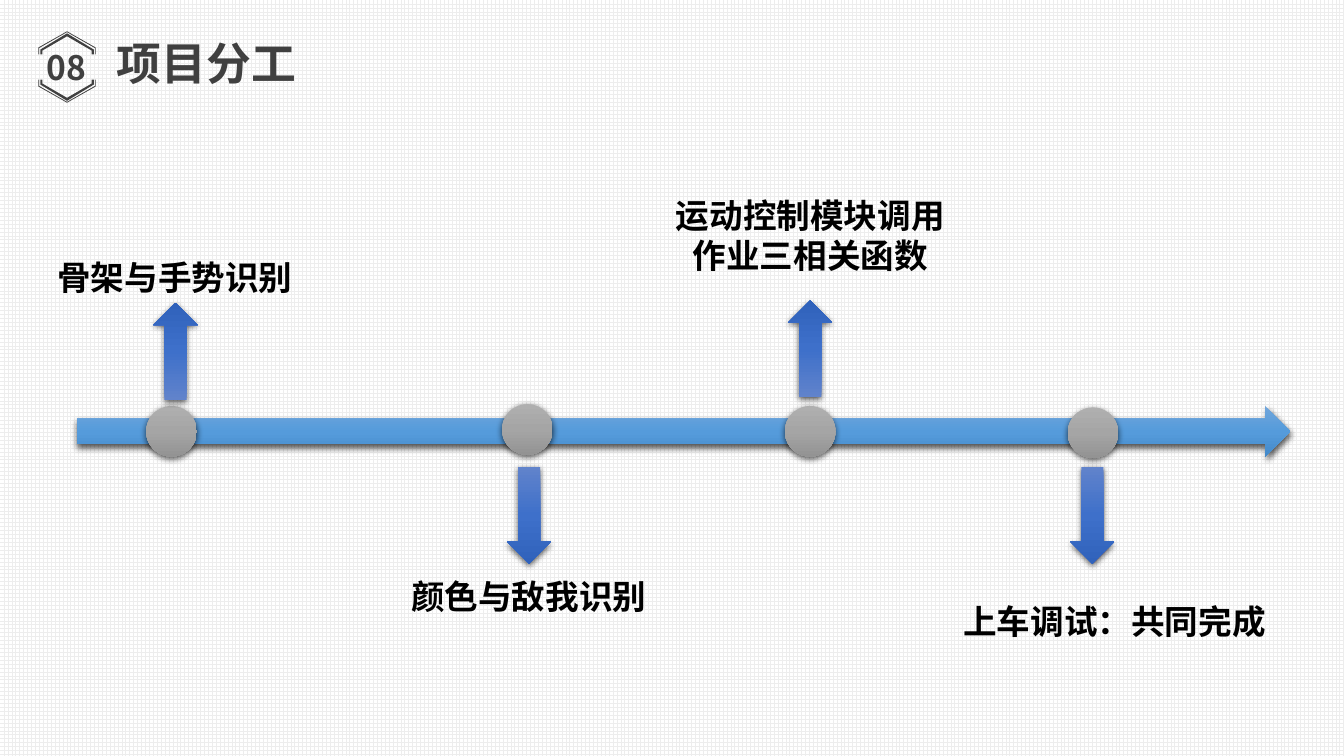
from copy import deepcopy
from dataclasses import dataclass

from lxml import etree
from pptx import Presentation
from pptx.dml.color import RGBColor
from pptx.enum.dml import MSO_PATTERN
from pptx.enum.shapes import MSO_SHAPE
from pptx.enum.text import MSO_ANCHOR, MSO_AUTO_SIZE, PP_ALIGN
from pptx.oxml.ns import qn
from pptx.util import Pt

GRID = MSO_PATTERN.LARGE_GRID
BAR = MSO_SHAPE.RIGHT_ARROW
DOT = MSO_SHAPE.OVAL
DOWN = MSO_SHAPE.DOWN_ARROW
TOP = MSO_ANCHOR.TOP
MIDDLE = MSO_ANCHOR.MIDDLE
CENTER = PP_ALIGN.CENTER
GROW = MSO_AUTO_SIZE.SHAPE_TO_FIT_TEXT
NONE = MSO_AUTO_SIZE.NONE

CJK = "Noto Sans CJK SC"
DARK = "404040"
BLACK = "000000"
SKY = ("71A6DB", "559BDB", "448ACA")
GRAY = ("AFAFAF", "A5A5A5", "939393")
BLUE = ("6183CB", "3E70CA", "3062BB")


@dataclass
class Box:
    left: float
    top: float
    width: float
    height: float

    def place(self) -> tuple:
        return Pt(self.left), Pt(self.top), Pt(self.width), Pt(self.height)


@dataclass
class Label:
    text: str
    box: Box
    size: float = 24
    font: str = "Arial"
    tint: str = BLACK
    anchor: int = TOP
    fit: int = GROW
    wrap: bool = True


@dataclass
class Step:
    dot: tuple[float, float]
    arrow: tuple[float, float]
    turn: int
    label: Label


@dataclass
class Edge:
    half: float
    bend: float
    peak: float


STEPS = [
    Step((104.4, 290), (109.6, 216.4), 180,
         Label("骨架与手势识别", Box(29.5, 180, 190.8, 36))),
    Step((358.6, 288.7), (362.2, 333.4), 0,
         Label("颜色与敌我识别", Box(276.5, 407.5, 202.3, 36))),
    Step((560.6, 290), (563, 214.6), 180,
         Label("运动控制模块调用作业三相关函数", Box(465.8, 135.4, 226.1, 65.5))),
    Step((762.6, 291), (764.6, 333.4), 0,
         Label("上车调试：共同完成", Box(679, 425.5, 234, 36))),
]
HEADS = [
    Label("08", Box(20.2, 26.6, 54.7, 43.2), 24, CJK, DARK, MIDDLE, NONE),
    Label("项目分工", Box(75.6, 22.3, 144, 46), 32, CJK, DARK, wrap=False),
]
RINGS = [
    (Edge(20.5, 13.9, 25.5), Edge(20, 13.5, 24.9)),
    (Edge(19.1, 12.5, 24.1), Edge(17.6, 11.8, 22)),
]
HUB = 47.9
GAP = 9


def color(code: str) -> RGBColor:
    return RGBColor.from_string(code)


def shade(shape, tints: tuple) -> None:
    fill = shape.fill
    fill.gradient()
    fill.gradient_angle = 270
    stops = shape._element.spPr.find(".//" + qn("a:gsLst"))
    stops.append(deepcopy(stops[0]))
    for stop, tint, spot in zip(fill.gradient_stops, tints, (0, 0.5, 1)):
        stop.color.rgb = color(tint)
        stop.position = spot


def drop(shape) -> None:
    shape.shadow.inherit = False
    effects = shape._element.spPr.find(qn("a:effectLst"))
    outer = etree.SubElement(
        effects, qn("a:outerShdw"), blurRad=str(Pt(4.5)),
        dist=str(Pt(1.5)), dir="5400000", algn="ctr", rotWithShape="0")
    tone = etree.SubElement(outer, qn("a:srgbClr"), val=BLACK)
    etree.SubElement(tone, qn("a:alpha"), val="63000")


def draw(slide, kind: int, box: Box, tints: tuple, turn: int = 0) -> None:
    shape = slide.shapes.add_shape(kind, *box.place())
    shape.rotation = turn
    shape.line.fill.background()
    shade(shape, tints)
    drop(shape)


def write(slide, label: Label) -> None:
    frame = slide.shapes.add_textbox(*label.box.place()).text_frame
    frame.word_wrap = label.wrap
    frame.auto_size = label.fit
    frame.vertical_anchor = label.anchor
    para = frame.paragraphs[0]
    para.alignment = CENTER
    run = para.add_run()
    run.text = label.text
    font = run.font
    font.name = label.font
    font.size = Pt(label.size)
    font.bold = True
    font.color.rgb = color(label.tint)
    etree.SubElement(run._r.rPr, qn("a:ea"), typeface=CJK)


def trace(edge: Edge, side: int) -> list:
    spots = [(-edge.half, GAP), (-edge.half, edge.bend), (0, edge.peak),
             (edge.half, edge.bend), (edge.half, GAP)]
    return [(Pt(HUB + x), Pt(HUB + side * y)) for x, y in spots]


def ring(slide, outer: Edge, inner: Edge, side: int) -> None:
    spots = trace(outer, side) + trace(inner, side)[::-1]
    path = slide.shapes.build_freeform(*spots[0], scale=1.0)
    path.add_line_segments(spots[1:], close=True)
    shape = path.convert_to_shape()
    shape.shadow.inherit = False
    shape.fill.solid()
    shape.fill.fore_color.rgb = color(DARK)
    shape.line.fill.background()


def main() -> None:
    deck = Presentation()
    deck.slide_width, deck.slide_height = Pt(960), Pt(540)
    slide = deck.slides.add_slide(deck.slide_layouts[6])
    back = slide.background.fill
    back.patterned()
    back.pattern = GRID
    back.fore_color.rgb = color("EDEDED")
    back.back_color.rgb = color("FFFFFF")

    draw(slide, BAR, Box(54.9, 290, 866.9, 36.2), SKY)
    for step in STEPS:
        draw(slide, DOT, Box(*step.dot, 36.2, 36.2), GRAY)
        draw(slide, DOWN, Box(*step.arrow, 31.5, 69.3), BLUE, step.turn)
        write(slide, step.label)
    for side in (-1, 1):
        for outer, inner in RINGS:
            ring(slide, outer, inner, side)
    for head in HEADS:
        write(slide, head)
    deck.save("out.pptx")


if __name__ == "__main__":
    main()
